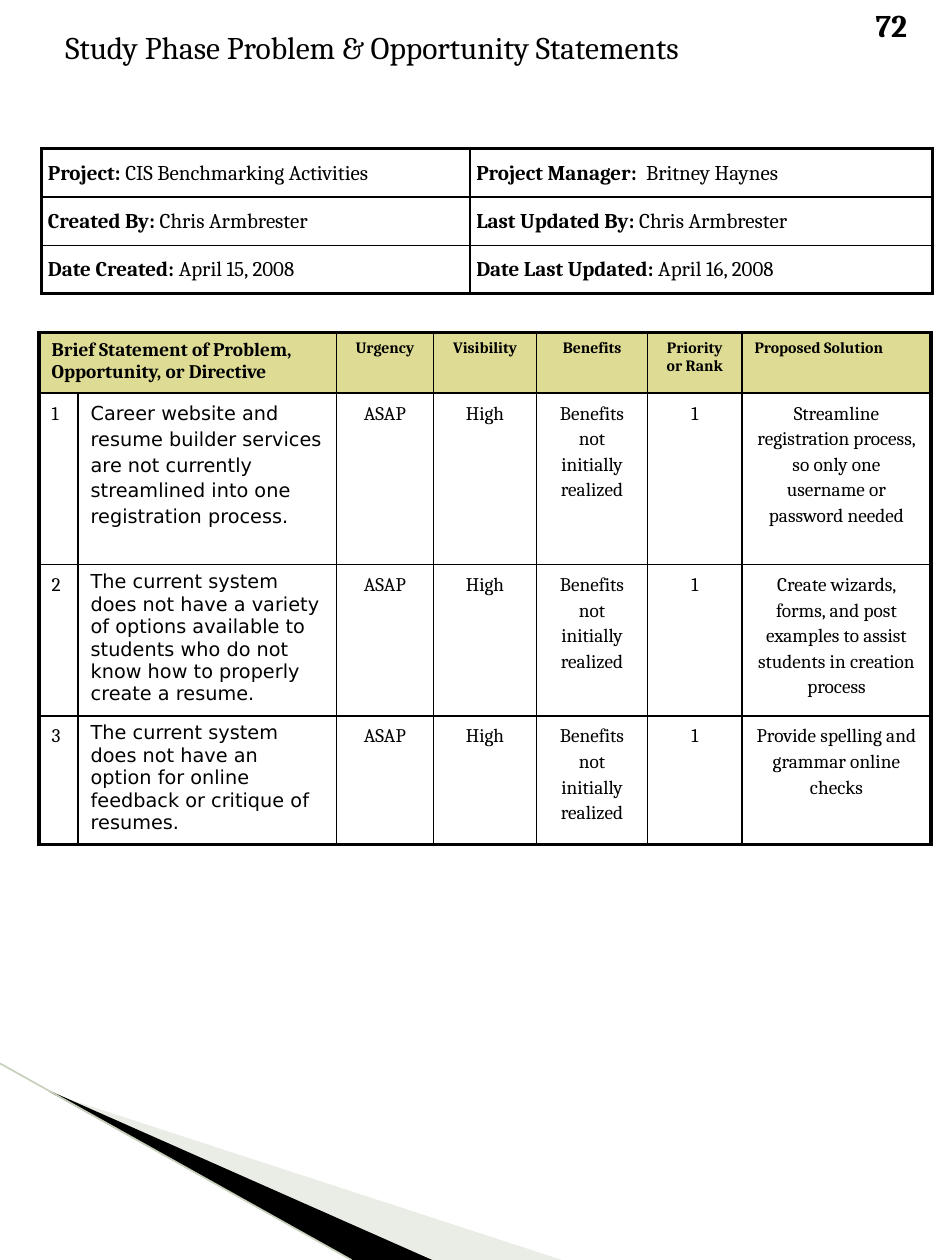
from lxml import etree
from pptx import Presentation
from pptx.dml.color import RGBColor
from pptx.enum.shapes import MSO_CONNECTOR
from pptx.enum.text import PP_ALIGN
from pptx.oxml.ns import qn
from pptx.util import Inches, Pt

LEFT, MID = PP_ALIGN.LEFT, PP_ALIGN.CENTER
LINE = MSO_CONNECTOR.STRAIGHT

THEME = {
    "ink": RGBColor(0, 0, 0),
    "head": RGBColor(0xDE, 0xDC, 0x94),
    "pale": RGBColor(0xCB, 0xD4, 0xC0),
    "edge": RGBColor(0xC6, 0xD0, 0xBB),
    "serif": "Cambria", "sans": "DejaVu Sans",
    "title": 18, "meta": 12, "body": 11, "label": 9,
    "thick": 2.25, "thin": 1,
}

# The slide is a grid of 75 columns and 100 rows
deck = Presentation()
deck.slide_width, deck.slide_height = Inches(7.5), Inches(10)
STEP = deck.slide_width // 75
slide = deck.slides.add_slide(deck.slide_layouts[6])
shapes = slide.shapes


def grid(*spots):
    return [round(spot * STEP) for spot in spots]


def write(frame, runs, size, face="serif", align=LEFT, space=None):
    """Fill a text frame with (text, bold) runs."""
    frame.word_wrap = True
    para = frame.paragraphs[0]
    para.alignment, para.line_spacing = align, space
    for text, bold in runs:
        run = para.add_run()
        run.text = text
        look = {"size": Pt(THEME[size]), "name": THEME[face], "bold": bold}
        for key, value in look.items():
            setattr(run.font, key, value)
        run.font.color.rgb = THEME["ink"]


# Corner wedges
wedges = [
    ("pale", 40, [(4.1, 86.8), (44.6, 100), (34.2, 100), (4.1, 86.7)]),
    ("ink", 100, [(4, 86.6), (34.3, 100), (27.9, 100), (4, 86.7)]),
]
for tint, solid, points in wedges:
    path = [grid(*point) for point in points]
    pen = shapes.build_freeform(*path[0])
    pen.add_line_segments(path[1:], close=True)
    wedge = pen.convert_to_shape()
    wedge.shadow.inherit = False
    wedge.line.fill.background()
    wedge.fill.solid()
    wedge.fill.fore_color.rgb = THEME[tint]
    if solid < 100:
        color = wedge.fill._xPr.find(".//" + qn("a:srgbClr"))
        etree.SubElement(color, qn("a:alpha")).set("val", str(solid * 1000))

# Corner line
edge = shapes.add_connector(LINE, *grid(0, 84.4, 27.9, 100))
edge.line.color.rgb = THEME["edge"]
edge.line.width = Pt(0.95)
etree.SubElement(edge._element.spPr, qn("a:effectLst"))

# Page number and title
for text, bold, place in [
    ("72", True, (68.5, 0, 6.5, 4)),
    ("Study Phase Problem & Opportunity Statements", False, (4.2, 1.7, 61.7, 4)),
]:
    box = shapes.add_textbox(*grid(*place))
    write(box.text_frame, [(text, bold)], "title")

# Table contents
meta = [
    [("Project:", " CIS Benchmarking Activities"),
     ("Project Manager:  ", "Britney Haynes")],
    [("Created By: ", "Chris Armbrester"),
     ("Last Updated By: ", "Chris Armbrester")],
    [("Date Created:", " April 15, 2008"),
     ("Date Last Updated: ", "April 16, 2008")],
]
heads = ["Brief Statement of Problem, Opportunity, or Directive", "", "Urgency",
         "Visibility", "Benefits", "Priority or Rank", "Proposed Solution"]
issues = [
    ("Career website and resume builder services are not currently "
     "streamlined into one registration process.",
     "Streamline registration process, so only one username or password needed"),
    ("The current system does not have a variety of options available to "
     "students who do not know how to properly create a resume.",
     "Create wizards, forms, and post examples to assist students in "
     "creation process"),
    ("The current system does not have an option for online feedback or "
     "critique of resumes.",
     "Provide spelling and grammar online checks"),
]
shared = ["ASAP", "High", "Benefits not initially realized", "1"]

# Table frames: left, top, column widths, row heights
frames = [
    (3.3, 11.8, [34, 36.7], [3.84] * 3),
    (3.1, 26.4, [3.1, 20.5, 7.7, 8.2, 8.8, 7.5, 15], [4.8, 13.6, 12, 10.2]),
]
tables = []
for left, top, wide, high in frames:
    place = grid(left, top, sum(wide), sum(high))
    table = shapes.add_table(len(high), len(wide), *place).table
    table.first_row = table.horz_banding = False
    for col, size in zip(table.columns, grid(*wide)):
        col.width = size
    for row, size in zip(table.rows, grid(*high)):
        row.height = size

    # Thick outer borders, thin inner ones, no fill
    for r in range(len(high)):
        for c in range(len(wide)):
            cell = table.cell(r, c)
            props = cell._tc.get_or_add_tcPr()
            outer = {"L": c == 0, "R": c == len(wide) - 1,
                     "T": r == 0, "B": r == len(high) - 1}
            for side, rim in outer.items():
                width = Pt(THEME["thick" if rim else "thin"])
                line = etree.SubElement(props, qn("a:ln" + side), w=str(width))
                fill = etree.SubElement(line, qn("a:solidFill"))
                etree.SubElement(fill, qn("a:srgbClr"), val=str(THEME["ink"]))
            cell.fill.background()
    tables.append(table)
facts, grid_two = tables

# Project facts
for r, row in enumerate(meta):
    for c, (label, value) in enumerate(row):
        cell = facts.cell(r, c)
        pads = {"left": 0.5, "top": 1, "right": 0.5, "bottom": 0.5}
        for side, pad in pads.items():
            setattr(cell, "margin_" + side, grid(pad)[0])
        write(cell.text_frame, [(label, True), (value, False)], "meta")

# Issue headings
grid_two.cell(0, 0).merge(grid_two.cell(0, 1))
for c, head in enumerate(heads):
    cell = grid_two.cell(0, c)
    cell.fill.solid()
    cell.fill.fore_color.rgb = THEME["head"]
    if head:
        write(cell.text_frame, [(head, True)], "label" if c else "body",
              align=MID if 1 < c < 6 else LEFT)

# Issue rows
for r, (issue, answer) in enumerate(issues, 1):
    for c, text in enumerate([str(r), issue, *shared, answer]):
        write(grid_two.cell(r, c).text_frame, [(text, False)], "body",
              face="sans" if c == 1 else "serif",
              align=MID if c > 1 else LEFT,
              space=None if c == 1 and r > 1 else 1.15)

deck.save("out.pptx")
